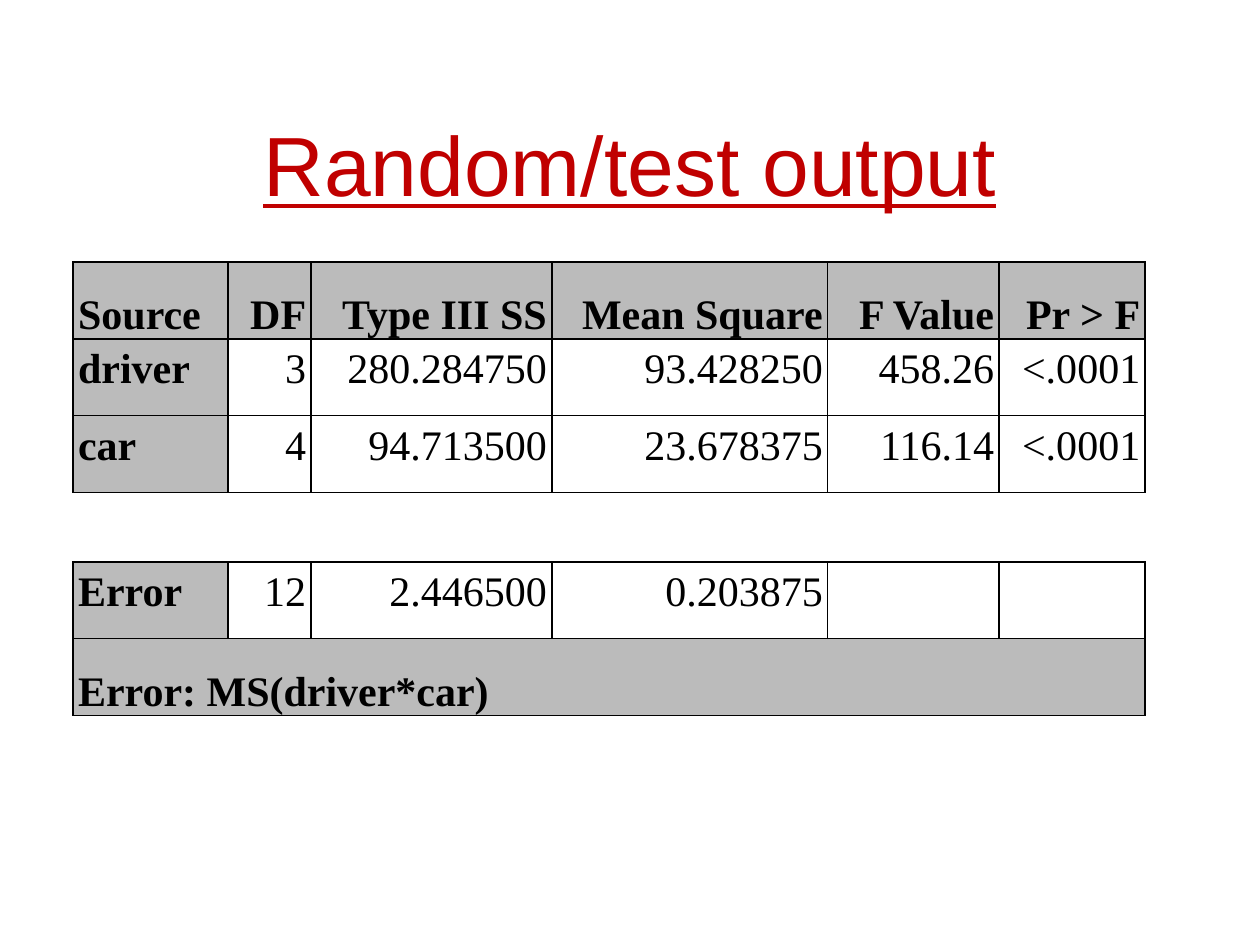
"""Build the slide with the random/test output table."""
import pptx
import pptx.dml.color
import pptx.enum.text
import pptx.oxml
import pptx.oxml.ns
import pptx.util
from pptx.util import Inches

ALIGN = pptx.enum.text.PP_ALIGN
ANCHOR = pptx.enum.text.MSO_ANCHOR
WIDTHS = [1.23, 0.66, 1.91, 2.19, 1.36, 1.16]
HEIGHTS = [0.61, 0.61, 0.61, 0.55, 0.61, 0.61]
ROWS = [
    ["Source", "DF", "Type III SS", "Mean Square", "F Value", "Pr > F"],
    ["driver", "3", "280.284750", "93.428250", "458.26", "<.0001"],
    ["car", "4", "94.713500", "23.678375", "116.14", "<.0001"],
    [],
    ["Error", "12", "2.446500", "0.203875", "", ""],
    ["Error: MS(driver*car)", "", "", "", "", ""],
]
HEADS = (0, len(ROWS) - 1)


def color(code):
    return pptx.dml.color.RGBColor.from_string(code)


class Deck:
    def __init__(self):
        self.ink, self.red = "000000", "C00000"
        self.gray, self.white = "BBBBBB", "FFFFFF"
        self.show = pptx.Presentation()
        self.show.slide_width = Inches(10)
        self.show.slide_height = Inches(7.5)
        self.slide = self.show.slides.add_slide(self.show.slide_layouts[5])

    def font(self, para, name, size, code, bold=False):
        para.font.name = name
        para.font.size = pptx.util.Pt(size)
        para.font.color.rgb = color(code)
        para.font.bold = bold

    def title(self, text, left, top, width, height):
        box = self.slide.shapes.title
        box.left, box.top = Inches(left), Inches(top)
        box.width, box.height = Inches(width), Inches(height)
        frame = box.text_frame
        frame.text = text
        frame.vertical_anchor = ANCHOR.MIDDLE
        para = frame.paragraphs[0]
        para.alignment = ALIGN.CENTER
        self.font(para, "Arial", 48, self.red)
        para.font.underline = True

    def border(self, cell, sides):
        props = cell._tc.get_or_add_tcPr()
        for side in "LRTB":
            fill = "<a:noFill/>"
            if side in sides:
                fill = f'<a:solidFill><a:srgbClr val="{self.ink}"/></a:solidFill>'
            space = pptx.oxml.ns.nsdecls("a")
            props.append(pptx.oxml.parse_xml(
                f'<a:ln{side} {space} w="12700">{fill}</a:ln{side}>'))

    def cell(self, cell, text, head, first):
        self.border(cell, "LRTB")
        cell.fill.solid()
        cell.fill.fore_color.rgb = color(self.gray if head or first else self.white)
        cell.margin_left = cell.margin_right = Inches(0.04)
        cell.margin_top = cell.margin_bottom = 0
        cell.vertical_anchor = ANCHOR.BOTTOM if head else ANCHOR.TOP
        cell.text = text
        para = cell.text_frame.paragraphs[0]
        para.alignment = ALIGN.LEFT if first else ALIGN.RIGHT
        para.line_spacing = 1.15
        para.space_before = para.space_after = pptx.util.Pt(3)
        self.font(para, "Times New Roman", 24, self.ink, head or first)

    def table(self, left, top):
        frame = self.slide.shapes.add_table(
            len(ROWS), len(WIDTHS), Inches(left), Inches(top),
            Inches(sum(WIDTHS)), Inches(sum(HEIGHTS)))
        grid = frame.table
        grid.first_row = grid.horz_banding = False
        for col, width in zip(grid.columns, WIDTHS):
            col.width = Inches(width)
        for row, (line, height) in enumerate(zip(ROWS, HEIGHTS)):
            grid.rows[row].height = Inches(height)
            for col, cell in enumerate(grid.rows[row].cells):
                if line:
                    self.cell(cell, line[col], row in HEADS, col == 0)
                else:
                    self.border(cell, "TB")
                    cell.fill.background()
        last = len(ROWS) - 1
        grid.cell(last, 0).merge(grid.cell(last, len(WIDTHS) - 1))


def main():
    deck = Deck()
    deck.title("Random/test output", 0.75, 0.67, 8.5, 1.25)
    deck.table(0.58, 2.08)
    deck.show.save("out.pptx")


if __name__ == "__main__":
    main()
